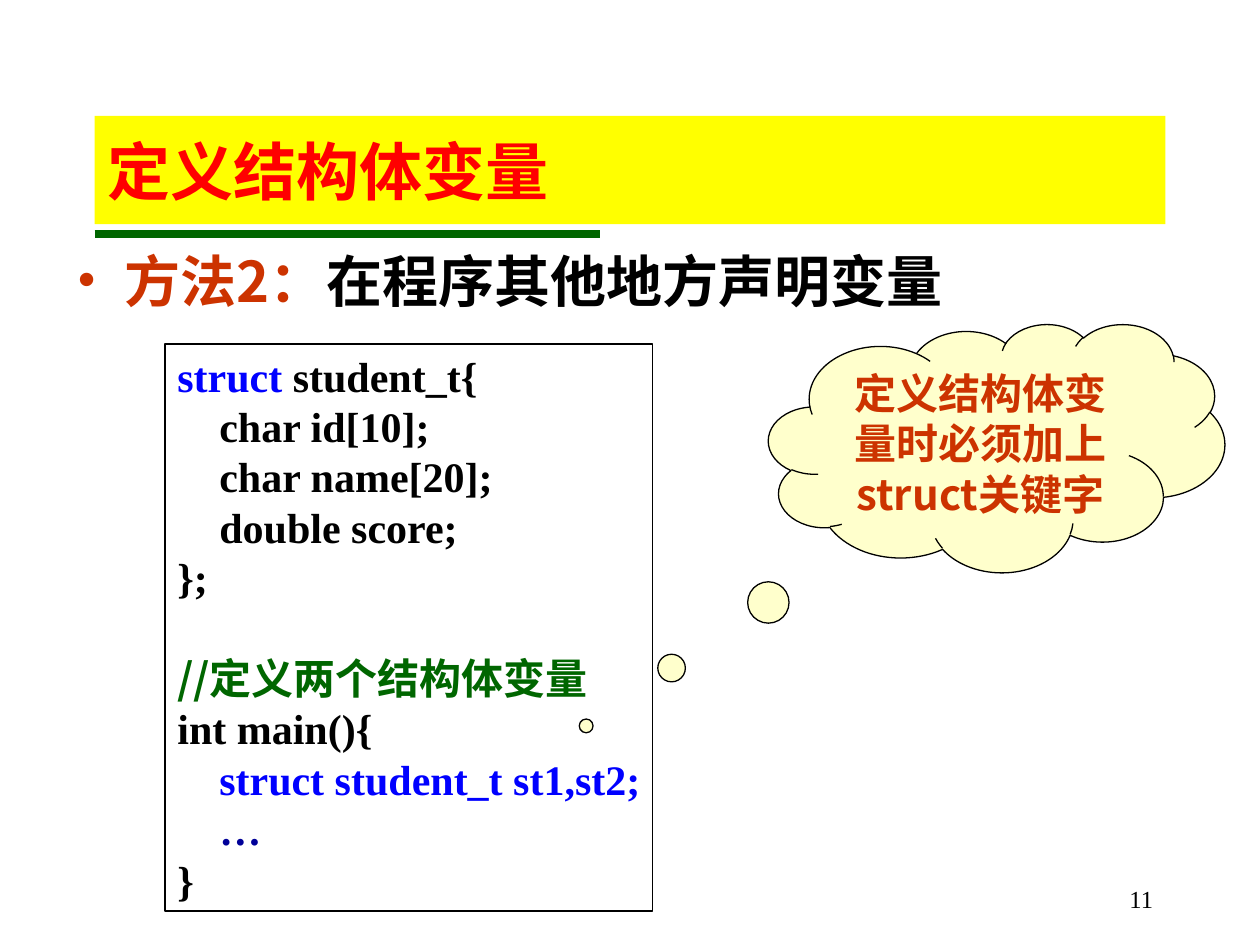
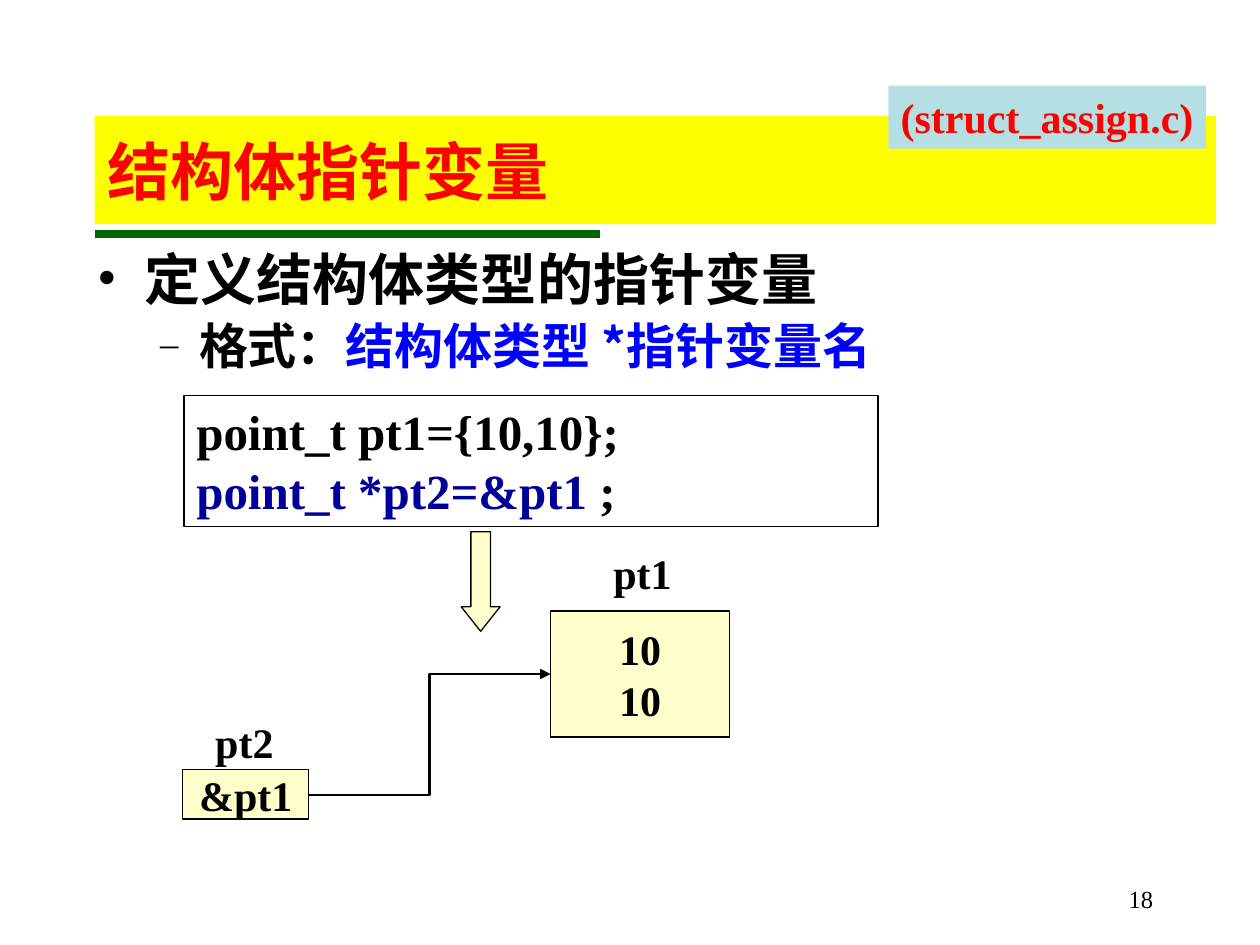
from lxml import etree
from pptx import Presentation
from pptx.dml.color import RGBColor
from pptx.enum import shapes, text
from pptx.oxml import ns
from pptx.util import Inches, Pt

# Shared colours and fonts
RED = RGBColor(0xFF, 0x00, 0x00)
BRICK = RGBColor(0xCC, 0x33, 0x00)
GREEN = RGBColor(0x00, 0x66, 0x00)
BLUE = RGBColor(0x00, 0x00, 0xFF)
NAVY = RGBColor(0x00, 0x00, 0x99)
BLACK = RGBColor(0x00, 0x00, 0x00)
YELLOW = RGBColor(0xFF, 0xFF, 0x00)
CREAM = RGBColor(0xFF, 0xFF, 0xCC)
PALE_TEAL = RGBColor(0xB5, 0xE0, 0xE3)
CHINESE = "Noto Sans CJK SC"
LATIN = "Times New Roman"

LEFT, CENTER, RIGHT = (text.PP_ALIGN.LEFT, text.PP_ALIGN.CENTER,
                       text.PP_ALIGN.RIGHT)
TOP, MIDDLE, BOTTOM = (text.MSO_ANCHOR.TOP, text.MSO_ANCHOR.MIDDLE,
                       text.MSO_ANCHOR.BOTTOM)
RECTANGLE = shapes.MSO_SHAPE.RECTANGLE


def add_xml(parent, tag, **attributes):
    return etree.SubElement(parent, ns.qn(tag), **attributes)


def place(shape, box):
    shape.left, shape.top, shape.width, shape.height = map(Inches, box)


def write_line(paragraph, runs, size=24, font=LATIN, bold=True, align=LEFT,
               before=0, spacing=1.2):
    """Write (text, colour) runs; spacing is a multiple of the text size."""
    paragraph.alignment = align
    paragraph.space_before = Pt(before)
    if spacing:
        paragraph.line_spacing = Pt(round(size * spacing, 1))
    for words, color in runs:
        run = paragraph.add_run()
        run.text = words
        run.font.size, run.font.bold, run.font.name = Pt(size), bold, font
        run.font.color.rgb = color
        add_xml(run.font._element, "a:ea", typeface=font)


def write_lines(shape, lines, anchor=TOP, wrap=True, **style):
    """Fill a shape; each line is a run list or (run list, own style)."""
    frame = shape.text_frame
    frame.word_wrap, frame.vertical_anchor = wrap, anchor
    frame.auto_size = text.MSO_AUTO_SIZE.NONE
    for index, line in enumerate(lines):
        runs, own = line if isinstance(line, tuple) else (line, {})
        paragraph = frame.paragraphs[0] if index == 0 else frame.add_paragraph()
        write_line(paragraph, runs, **{**style, **own})


def set_bullet(paragraph, char, color, margin, indent, percent=100):
    properties = paragraph._p.get_or_add_pPr()
    properties.set("marL", str(Inches(margin)))
    properties.set("indent", str(Inches(indent)))
    add_xml(add_xml(properties, "a:buClr"), "a:srgbClr", val=str(color))
    add_xml(properties, "a:buSzPct", val=str(percent * 1000))
    add_xml(properties, "a:buFont", typeface=LATIN)
    add_xml(properties, "a:buChar", char=char)


def add_box(slide, box, lines=(), kind=RECTANGLE, fill=None, outline=BLACK,
            **style):
    shape = slide.shapes.add_shape(kind, *map(Inches, box))
    shape.shadow.inherit = False
    if fill is None:
        shape.fill.background()
    else:
        shape.fill.solid()
        shape.fill.fore_color.rgb = fill
    if outline is None:
        shape.line.fill.background()
    else:
        shape.line.color.rgb = outline
        shape.line.width = Pt(0.75)
    write_lines(shape, lines, **style)
    return shape


def add_label(slide, box, words, **style):
    label = slide.shapes.add_textbox(*map(Inches, box))
    write_lines(label, [[(words, BLACK)]], **style)


def add_line(slide, kind, start, end, color, width):
    line = slide.shapes.add_connector(kind, *map(Inches, start + end))
    line.line.color.rgb = color
    line.line.width = Pt(width)
    add_xml(line._element.spPr, "a:effectLst")
    return line


def add_base_slide(presentation, title, title_width, number):
    """Slide with the yellow title band, green rule and page number."""
    slide = presentation.slides.add_slide(presentation.slide_layouts[1])
    add_line(slide, shapes.MSO_CONNECTOR.STRAIGHT, (0.75, 1.86), (4.76, 1.86),
             GREEN, 4.5)
    band = slide.shapes.title
    place(band, (0.75, 0.92, title_width, 0.86))
    band.fill.solid()
    band.fill.fore_color.rgb = YELLOW
    write_lines(band, [[(title, RED)]], anchor=MIDDLE, size=36, font=CHINESE,
                spacing=None)
    add_label(slide, (7.17, 6.92, 2.08, 0.38), str(number), anchor=BOTTOM,
              size=14, bold=False, align=RIGHT)
    return slide


def fill_body(slide, box, lines, bullet_color):
    body = slide.placeholders[1]
    place(body, box)
    write_lines(body, lines, font=CHINESE, size=32)
    first, *details = body.text_frame.paragraphs
    set_bullet(first, "•", bullet_color, 0.38, -0.38)
    for paragraph in details:
        paragraph.level = 1
        set_bullet(paragraph, "–", bullet_color, 0.81, -0.31, percent=75)


def build_definition_slide(presentation):
    slide = add_base_slide(presentation, "定义结构体变量", 8.5, 11)
    fill_body(slide, (0.51, 1.86, 8.97, 0.87),
              [([("方法2：", BRICK), ("在程序其他地方声明变量", BLACK)],
                {"spacing": 1.3})], BRICK)

    # Code listing
    add_box(slide, (1.31, 2.73, 3.87, 4.5), [
        [("struct", BLUE), (" student_t{", BLACK)],
        [("    char id[10];", BLACK)],
        [("    char name[20];", BLACK)],
        [("    double score;", BLACK)],
        [("};", BLACK)],
        ([("//定义两个结构体变量", GREEN)], {"font": CHINESE, "before": 28.8}),
        [("int main(){", BLACK)],
        [("    struct student_t st1,st2;", BLUE)],
        [("    …", NAVY)],
        [("}", BLACK)],
    ], wrap=False)

    # Reminder cloud
    cloud = add_box(slide, (6.1, 2.57, 3.62, 1.97),
                    [[("定义结构体变量时必须加上struct关键字", BRICK)]],
                    kind=shapes.MSO_SHAPE.CLOUD_CALLOUT, fill=CREAM,
                    font=CHINESE, align=CENTER)
    cloud.adjustments[0], cloud.adjustments[1] = -0.9, 1.12


def build_pointer_slide(presentation):
    slide = add_base_slide(presentation, "结构体指针变量", 8.9, 18)
    fill_body(slide, (0.67, 1.94, 8.74, 1.02), [
        ([("定义结构体类型的指针变量", BLACK)], {"spacing": 1.08}),
        ([("格式：", BLACK), ("结构体类型 *指针变量名", BLUE)],
         {"size": 28, "before": 7, "spacing": 1.03}),
    ], BLACK)

    # Code listing
    add_box(slide, (1.46, 3.14, 5.51, 1.04), [
        [("point_t pt1={10,10};", BLACK)],
        [("point_t *pt2=&pt1", NAVY), (" ;", BLACK)],
    ], size=28)

    # Memory diagram: each variable is a cell with its name above
    cells = [("pt1", (4.77, 4.3), (4.37, 4.85, 1.42, 1), ["10", "10"]),
             ("pt2", (1.61, 5.64), (1.45, 6.11, 1, 0.39), ["&pt1"])]
    for name, corner, box, values in cells:
        add_box(slide, box, [[(value, BLACK)] for value in values], fill=CREAM,
                anchor=MIDDLE, wrap=False, align=CENTER)
        add_label(slide, corner + (0.66, 0.5), name, wrap=False)
    pointer = add_line(slide, shapes.MSO_CONNECTOR.ELBOW, (2.45, 6.31),
                       (4.37, 5.35), BLACK, 1.5)
    add_xml(pointer.line._get_or_add_ln(), "a:tailEnd", type="triangle")

    arrow = add_box(slide, (3.66, 4.22, 0.31, 0.79), fill=CREAM,
                    kind=shapes.MSO_SHAPE.DOWN_ARROW)
    arrow.adjustments[0], arrow.adjustments[1] = 0.5, 0.63

    # Source file tag
    add_box(slide, (7.05, 0.68, 2.52, 0.5), [[("(struct_assign.c)", RED)]],
            fill=PALE_TEAL, outline=None, wrap=False)


def main():
    presentation = Presentation()
    presentation.slide_width, presentation.slide_height = Inches(10), Inches(7.5)
    build_definition_slide(presentation)
    build_pointer_slide(presentation)
    presentation.save("out.pptx")


if __name__ == "__main__":
    main()
